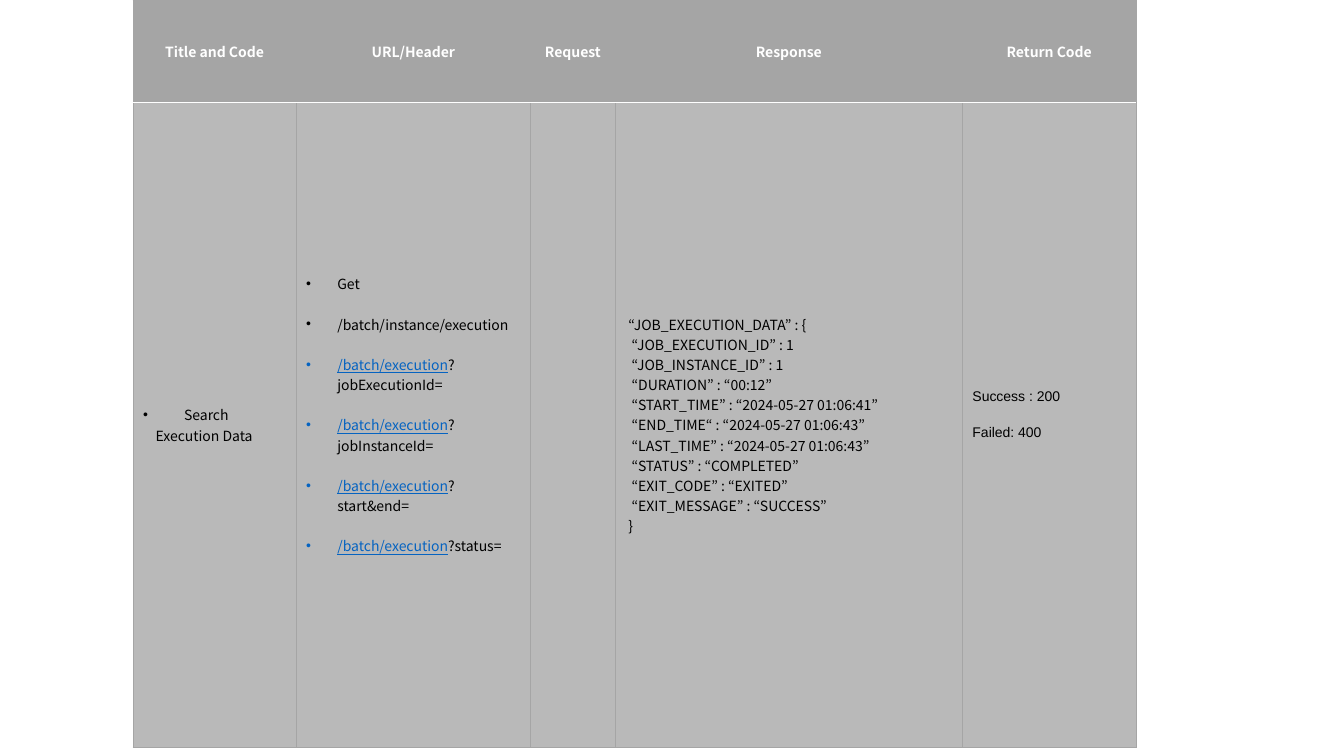
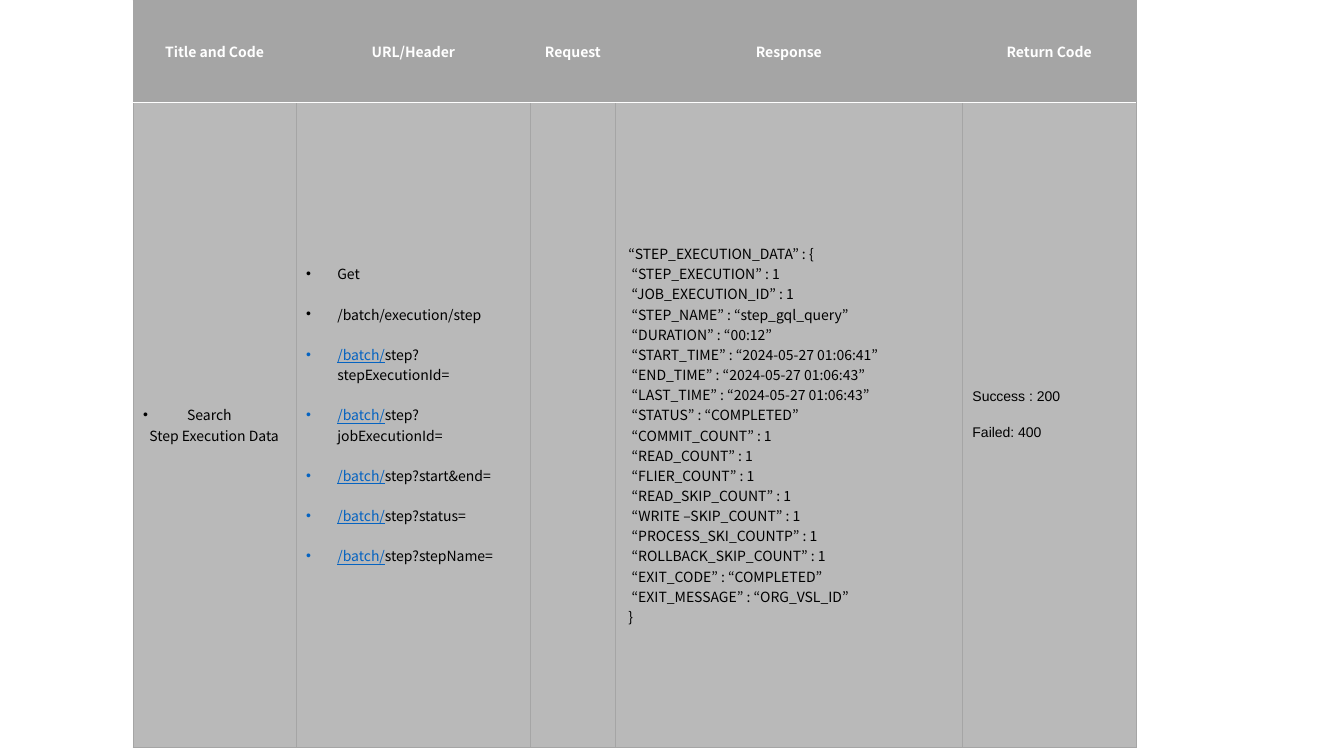
from lxml import etree
from pptx import Presentation
from pptx.dml.color import RGBColor
from pptx.enum import text
from pptx.oxml import ns
from pptx.util import Pt

INK = {"head": "A5A5A5", "body": "B9B9B9", "white": "FFFFFF",
       "text": "000000", "link": "0563C1"}
SANS, ARIAL = "Noto Sans CJK KR", "Arial"
SIZE, LINE, PAD, HANG = 10, 14.4, 3.6, 22.3
COLS = [116.5, 167.5, 60.5, 248, 124]
ROWS = [73, 461]
HEADS = ["Title and Code", "URL/Header", "Request", "Response", "Return Code"]
CODES = ["Success : 200", "Failed: 400"]

# Title lines carry their own indents; a link is (linked part, plain part)
PAGES = [
    {
        "title": [("Search", 29.3), ("Execution Data", 9)],
        "urls": [
            ("", "Get"),
            ("", "/batch/instance/execution"),
            ("/batch/execution", "?jobExecutionId="),
            ("/batch/execution", "?jobInstanceId="),
            ("/batch/execution", "?start&end="),
            ("/batch/execution", "?status="),
        ],
        "reply": [
            "“JOB_EXECUTION_DATA” : {",
            "“JOB_EXECUTION_ID” : 1",
            "“JOB_INSTANCE_ID” : 1",
            "“DURATION” : “00:12”",
            "“START_TIME” : “2024-05-27 01:06:41”",
            "“END_TIME“ : “2024-05-27 01:06:43”",
            "“LAST_TIME” : “2024-05-27 01:06:43”",
            "“STATUS” : “COMPLETED”",
            "“EXIT_CODE” : “EXITED”",
            "“EXIT_MESSAGE” : “SUCCESS”",
            "}",
        ],
        "drop": 0,
    },
    {
        "title": [("Search", 31.5), ("Step Execution Data", 4.5)],
        "urls": [
            ("", "Get"),
            ("", "/batch/execution/step"),
            ("/batch/", "step?stepExecutionId="),
            ("/batch/", "step?jobExecutionId="),
            ("/batch/", "step?start&end="),
            ("/batch/", "step?status="),
            ("/batch/", "step?stepName="),
        ],
        "reply": [
            "“STEP_EXECUTION_DATA” : {",
            "“STEP_EXECUTION” : 1",
            "“JOB_EXECUTION_ID” : 1",
            "“STEP_NAME” : “step_gql_query”",
            "“DURATION” : “00:12”",
            "“START_TIME” : “2024-05-27 01:06:41”",
            "“END_TIME” : “2024-05-27 01:06:43”",
            "“LAST_TIME” : “2024-05-27 01:06:43”",
            "“STATUS” : “COMPLETED”",
            "“COMMIT_COUNT” : 1",
            "“READ_COUNT” : 1",
            "“FLIER_COUNT” : 1",
            "“READ_SKIP_COUNT” : 1",
            "“WRITE –SKIP_COUNT” : 1",
            "“PROCESS_SKI_COUNTP” : 1",
            "“ROLLBACK_SKIP_COUNT” : 1",
            "“EXIT_CODE” : “COMPLETED”",
            "“EXIT_MESSAGE” : “ORG_VSL_ID”",
            "}",
        ],
        "drop": LINE,
    },
]


def add_sub(parent, tag, **attrs):
    return etree.SubElement(parent, ns.qn(tag), **attrs)


# Text
def add_run(para, words, tone="text", font=SANS, bold=False, under=False):
    run = para.add_run()
    run.text = words
    face = run.font
    face.size, face.name = Pt(SIZE), font
    face.bold, face.underline = bold, under
    face.color.rgb = RGBColor.from_string(INK[tone])
    add_sub(run._r.get_or_add_rPr(), "a:ea", typeface=font)


def add_para(cell, first, gap=0, left=0, dot=None):
    frame = cell.text_frame
    para = frame.paragraphs[0] if first else frame.add_paragraph()
    para.space_before = Pt(0 if first else gap)
    props = para._p.get_or_add_pPr()
    props.set("marL", str(Pt(left)))
    props.set("indent", str(Pt(-left if dot else 0)))
    if dot:
        add_sub(add_sub(props, "a:buClr"), "a:srgbClr", val=INK[dot])
        add_sub(props, "a:buFont", typeface=ARIAL)
        add_sub(props, "a:buChar", char="•")
    return para


# Cells
def style_cell(cell, fill, top, base):
    props = cell._tc.get_or_add_tcPr()
    sides = {"L": "head", "R": "head", "T": top, "B": base}
    for side, tone in sides.items():
        width = Pt(1 if tone == "white" else 0.5)
        line = add_sub(props, "a:ln" + side, w=str(width))
        add_sub(add_sub(line, "a:solidFill"), "a:srgbClr", val=INK[tone])
    cell.fill.solid()
    cell.fill.fore_color.rgb = RGBColor.from_string(INK[fill])
    cell.vertical_anchor = text.MSO_ANCHOR.MIDDLE


def fill_head(cell, words):
    style_cell(cell, "head", "head", "white")
    para = add_para(cell, True)
    para.alignment = text.PP_ALIGN.CENTER
    add_run(para, words, "white", bold=True)


def fill_title(cell, lines):
    for i, (words, left) in enumerate(lines):
        para = add_para(cell, i == 0, left=left, dot=None if i else "text")
        add_run(para, words)


def fill_urls(cell, urls):
    cell.margin_bottom = Pt(PAD + LINE)
    for i, (link, rest) in enumerate(urls):
        para = add_para(cell, i == 0, LINE, HANG, "link" if link else "text")
        if link:
            add_run(para, link, "link", under=True)
        add_run(para, rest)


def fill_reply(cell, lines, drop):
    cell.margin_top = Pt(PAD + drop)
    for i, words in enumerate(lines):
        outer = i in (0, len(lines) - 1)
        add_run(add_para(cell, i == 0, left=2.2 if outer else 4.5), words)


def fill_codes(cell):
    cell.margin_bottom = Pt(PAD + LINE)
    for i, words in enumerate(CODES):
        add_run(add_para(cell, i == 0, LINE), words, font=ARIAL)


# Slide
def add_page(deck, page):
    slide = deck.slides.add_slide(deck.slide_layouts[6])
    grid = slide.shapes.add_table(len(ROWS), len(COLS), Pt(95), Pt(0),
                                  Pt(sum(COLS)), Pt(sum(ROWS))).table
    grid.first_row = grid.horz_banding = False
    for row, high in zip(grid.rows, ROWS):
        row.height = Pt(high)
    for i, (wide, head) in enumerate(zip(COLS, HEADS)):
        grid.columns[i].width = Pt(wide)
        fill_head(grid.cell(0, i), head)
        style_cell(grid.cell(1, i), "body", "white", "head")
    fill_title(grid.cell(1, 0), page["title"])
    fill_urls(grid.cell(1, 1), page["urls"])
    fill_reply(grid.cell(1, 3), page["reply"], page["drop"])
    fill_codes(grid.cell(1, 4))


def main():
    deck = Presentation()
    deck.slide_width, deck.slide_height = Pt(960), Pt(540)
    for page in PAGES:
        add_page(deck, page)
    deck.save("out.pptx")


if __name__ == "__main__":
    main()
